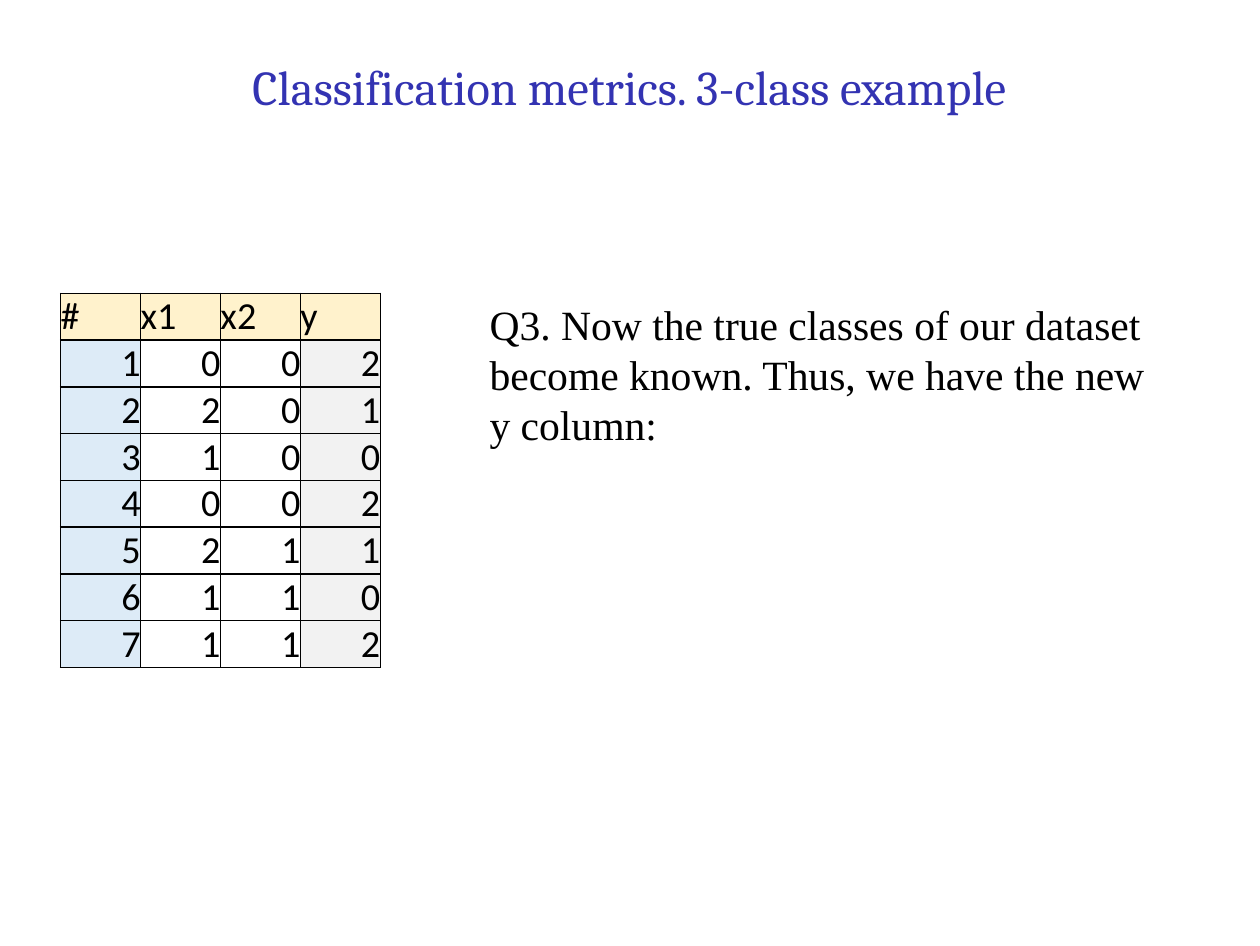
from lxml import etree
from pptx import Presentation
from pptx.dml.color import RGBColor
from pptx.enum.text import MSO_ANCHOR, PP_ALIGN
from pptx.oxml.ns import qn
from pptx.util import Pt

LEFT, CENTER, RIGHT = PP_ALIGN.LEFT, PP_ALIGN.CENTER, PP_ALIGN.RIGHT
BOTTOM = MSO_ANCHOR.BOTTOM

BLACK = RGBColor(0x00, 0x00, 0x00)
BLUE = RGBColor(0x33, 0x33, 0xB2)
CREAM = RGBColor(0xFF, 0xF2, 0xCC)
SKY = RGBColor(0xDD, 0xEB, 0xF7)
GREY = RGBColor(0xF2, 0xF2, 0xF2)

WIDTH, HEIGHT = 363, 272.5
COL, ROW = 23.04, 13.48
HEAD = ["#", "x1", "x2", "y"]
DATA = [
    [1, 0, 0, 2],
    [2, 2, 0, 1],
    [3, 1, 0, 0],
    [4, 0, 0, 2],
    [5, 2, 1, 1],
    [6, 1, 1, 0],
    [7, 1, 1, 2],
]
FILLS = [SKY, None, None, GREY]


def set_text(frame, text, face, size, color, align):
    frame.text = text
    para = frame.paragraphs[0]
    para.alignment = align
    font = para.font
    font.name, font.size = face, Pt(size)
    font.color.rgb = color


def set_insets(item):
    """Remove all inner margins from a text frame or table cell."""
    item.margin_left = item.margin_right = 0
    item.margin_top = item.margin_bottom = 0


def add_text(slide, area, *style):
    box = slide.shapes.add_textbox(*map(Pt, area))
    frame = box.text_frame
    frame.word_wrap = True
    set_text(frame, *style)
    return frame


def add_border(cell):
    props = cell._tc.get_or_add_tcPr()
    for pos, side in enumerate(("lnL", "lnR", "lnT", "lnB")):
        line = etree.Element(qn(f"a:{side}"), w=str(Pt(0.5)))
        solid = etree.SubElement(line, qn("a:solidFill"))
        etree.SubElement(solid, qn("a:srgbClr"), val=str(BLACK))
        props.insert(pos, line)


def set_cell(cell, text, fill, align):
    set_insets(cell)
    cell.vertical_anchor = BOTTOM
    set_text(cell.text_frame, text, "Calibri", 11, BLACK, align)
    if fill is None:
        cell.fill.background()
    else:
        cell.fill.solid()
        cell.fill.fore_color.rgb = fill
    add_border(cell)


def add_grid(slide, left, top):
    rows = [HEAD] + DATA
    area = (left, top, COL * len(HEAD), ROW * len(rows))
    table = slide.shapes.add_table(len(rows), len(HEAD), *map(Pt, area)).table
    for col in table.columns:
        col.width = Pt(COL)
    for r, row in enumerate(rows):
        table.rows[r].height = Pt(ROW)
        for c, value in enumerate(row):
            fill = FILLS[c] if r else CREAM
            set_cell(table.cell(r, c), str(value), fill, RIGHT if r else LEFT)


def main():
    deck = Presentation()
    deck.slide_width, deck.slide_height = Pt(WIDTH), Pt(HEIGHT)
    slide = deck.slides.add_slide(deck.slide_layouts[6])
    title = add_text(slide, (0, 16.56, WIDTH, 17.28),
                     "Classification metrics. 3-class example",
                     "Cambria", 14, BLUE, CENTER)
    set_insets(title)
    add_text(slide, (134, 82.7, 206.64, 111.6),
             "Q3. Now the true classes of our dataset become known. "
             "Thus, we have the new y column:",
             "Times New Roman", 12, BLACK, LEFT)
    add_grid(slide, 17.5, 84.5)
    deck.save("out.pptx")


if __name__ == "__main__":
    main()
